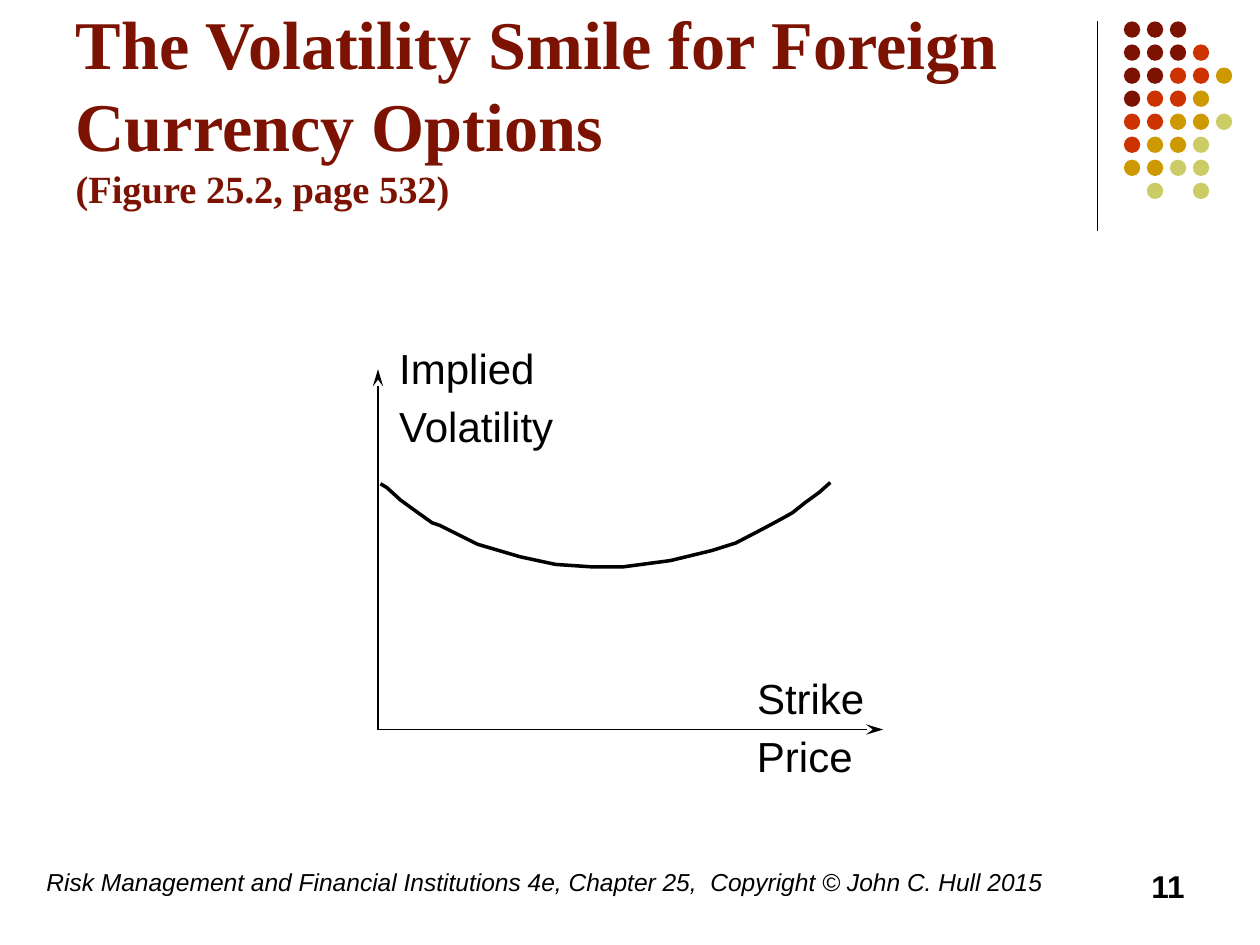
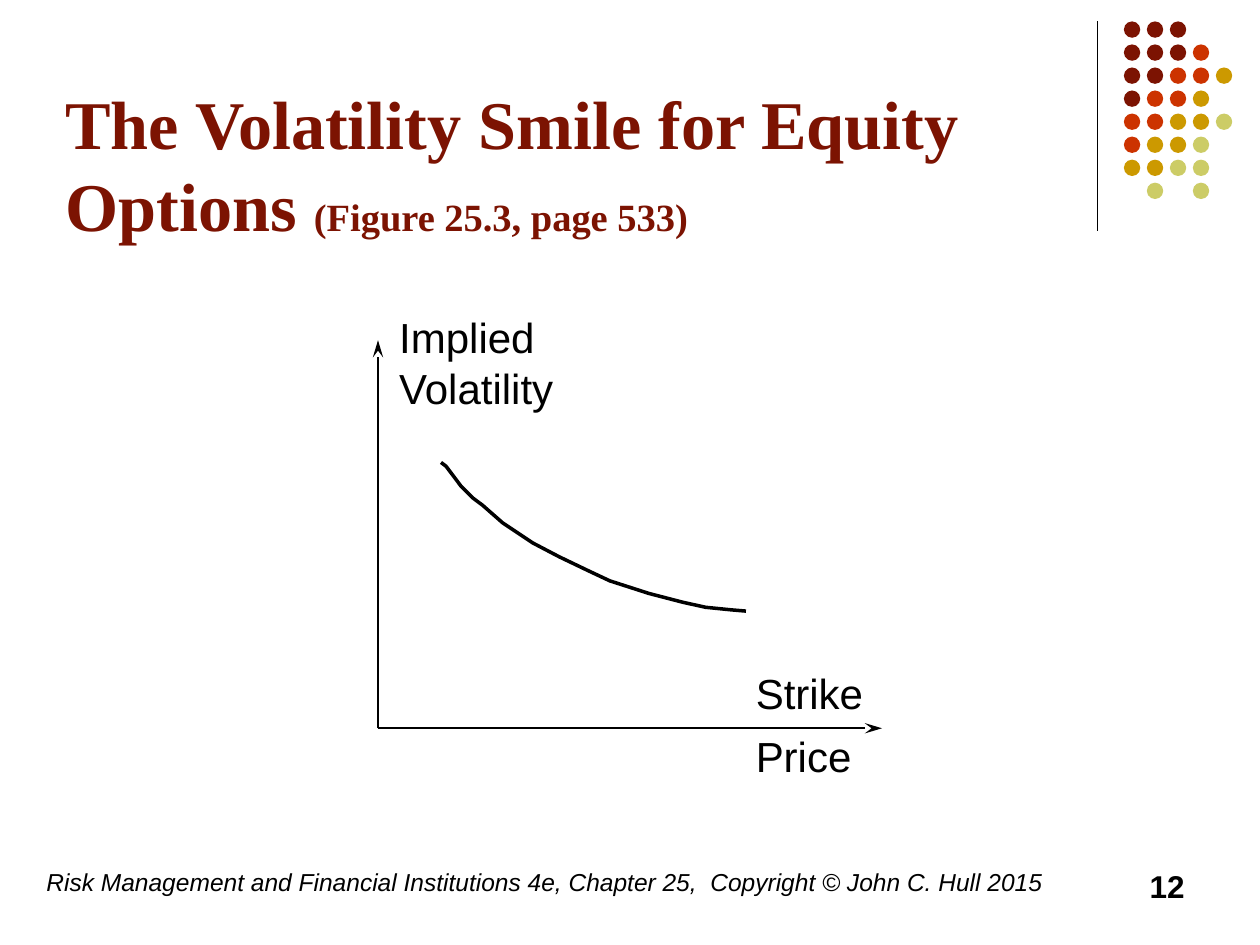
from collections import namedtuple
from dataclasses import dataclass

from lxml.etree import SubElement
from pptx import Presentation
from pptx.dml.color import RGBColor
from pptx.enum.shapes import MSO_CONNECTOR as Connector, MSO_SHAPE as Preset
from pptx.enum.text import MSO_ANCHOR as Anchor, MSO_AUTO_SIZE as AutoSize, PP_ALIGN as Align
from pptx.oxml.ns import qn
from pptx.util import Inches, Pt

Box = namedtuple("Box", "left top width height")
Label = namedtuple("Label", "text left top width")
Figure = namedtuple("Figure", "title reference title_box plot_box labels curve number")


@dataclass(frozen=True)
class Theme:
    """Colours, fonts, type sizes and line widths shared by the deck."""

    ink: str = "000000"
    maroon: str = "7C1302"
    red: str = "CC3300"
    gold: str = "CC9900"
    lime: str = "CCCC66"
    title_font: str = "Times New Roman"
    body_font: str = "Arial"
    title_size: float = 39
    reference_size: float = 22
    label_size: float = 24
    footer_size: float = 14
    number_size: float = 18
    title_spacing: float = 1.0
    rule_width: float = 0.75
    axis_width: float = 1
    curve_width: float = 2


THEME = Theme()
FOOTER = "Risk Management and Financial Institutions 4e, Chapter 25,  Copyright © John C. Hull 2015"
DOT_COLOURS = {"m": THEME.maroon, "r": THEME.red, "g": THEME.gold, "l": THEME.lime}
DOT_ROWS = ("mmm", "mmmr", "mmrrg", "mrrg", "rrggl", "rggl", "ggll", " l l")
DOT_SIZE = 0.13
DOT_BOX = Box(8.92, 0.17, 0.86, 1.41)
RULE_BOX = Box(8.71, 0.17, 0, 1.66)
FOOTER_BOX = Box(0.27, 6.83, 8.27, 0.5)
NUMBER_BOX = Box(7.17, 6.83, 2.33, 0.5)

FIGURES = (
    Figure(
        "The Volatility Smile for Foreign Currency Options \v",
        "(Figure 25.2, page 532)",
        Box(0.5, 0.13, 8.25, 1.42),
        Box(3, 2.93, 4.01, 2.86),
        (
            Label("Implied", 0.07, -0.26, 1.28),
            Label("Volatility", 0.07, 0.2, 1.44),
            Label("Strike", 2.91, 2.36, 1.05),
            Label("Price", 2.91, 2.82, 0.96),
        ),
        (
            (0.02, 1.95), (0.07, 1.92), (0.18, 1.82), (0.29, 1.74), (0.43, 1.64),
            (0.49, 1.62), (0.55, 1.59), (0.79, 1.47), (1.13, 1.37), (1.41, 1.31),
            (1.71, 1.29), (1.94, 1.29), (2.32, 1.34), (2.65, 1.42), (2.84, 1.48),
            (3.07, 1.6), (3.2, 1.67), (3.29, 1.72), (3.39, 1.8), (3.5, 1.88), (3.59, 1.96),
        ),
        11,
    ),
    Figure(
        "The Volatility Smile for Equity Options ",
        "(Figure 25.3, page 533)",
        Box(0.42, 0.67, 9.17, 1.25),
        Box(3, 2.7, 4, 3.08),
        (
            Label("Implied", 0.07, -0.28, 1.28),
            Label("Volatility", 0.07, 0.13, 1.44),
            Label("Strike", 2.9, 2.55, 1.05),
            Label("Price", 2.9, 3.05, 0.96),
        ),
        (
            (0.5, 2.11), (0.54, 2.08), (0.6, 2), (0.66, 1.92), (0.75, 1.83), (0.79, 1.8),
            (0.83, 1.77), (0.99, 1.63), (1.23, 1.47), (1.44, 1.36), (1.67, 1.25),
            (1.84, 1.17), (2.15, 1.07), (2.42, 1), (2.6, 0.96), (2.8, 0.94), (2.92, 0.93),
        ),
        12,
    ),
)


def emu(box):
    """Turn a box or point in inches into lengths."""
    return [Inches(value) for value in box]


def apply(target, formats):
    """Set every attribute in a dict of format values."""
    for name, value in formats.items():
        setattr(target, name, value)


def add_span(para, text, size, font=THEME.body_font, colour=THEME.ink, **formats):
    """Append formatted text to a paragraph, breaking the line at a vertical tab."""
    pieces = text.split("\v")
    for position, piece in enumerate(pieces):
        if position:
            para.add_line_break()
        if piece:
            span = para.add_run()
            span.text = piece
            apply(span.font, {"name": font, "size": Pt(size), **formats})
            span.font.color.rgb = RGBColor.from_string(colour)


def add_text(page, box, text, size, wrap=True, align=Align.LEFT, **formats):
    """Add a one-paragraph text box."""
    frame = page.shapes.add_textbox(*emu(box)).text_frame
    frame.word_wrap = wrap
    frame.auto_size = AutoSize.NONE if wrap else AutoSize.SHAPE_TO_FIT_TEXT
    para = frame.paragraphs[0]
    para.alignment = align
    add_span(para, text, size, **formats)


def add_line(page, start, end, width, arrow=False):
    """Draw a straight line, with a long stealth arrowhead at its end if asked."""
    line = page.shapes.add_connector(Connector.STRAIGHT, *emu((*start, *end)))
    line.line.width = Pt(width)
    line.line.color.rgb = RGBColor.from_string(THEME.ink)
    if arrow:
        SubElement(line.line._get_or_add_ln(), qn("a:tailEnd"), type="stealth", len="lg")
    SubElement(line._element.spPr, qn("a:effectLst"))


def add_dots(page, box):
    """Fill a box with the coloured dot pattern."""
    across = (box.width - DOT_SIZE) / (max(map(len, DOT_ROWS)) - 1)
    down = (box.height - DOT_SIZE) / (len(DOT_ROWS) - 1)
    for row, pattern in enumerate(DOT_ROWS):
        for column, key in enumerate(pattern):
            if key == " ":
                continue
            place = Box(box.left + column * across, box.top + row * down, DOT_SIZE, DOT_SIZE)
            dot = page.shapes.add_shape(Preset.OVAL, *emu(place))
            dot.shadow.inherit = False
            dot.fill.solid()
            dot.fill.fore_color.rgb = RGBColor.from_string(DOT_COLOURS[key])
            dot.line.fill.background()


def add_frame(page, number):
    """Add the corner ornament, footer and page number."""
    rule = RULE_BOX
    add_line(page, (rule.left, rule.top), (rule.left, rule.top + rule.height), THEME.rule_width)
    add_dots(page, DOT_BOX)
    add_text(page, FOOTER_BOX, FOOTER, THEME.footer_size, italic=True)
    add_text(page, NUMBER_BOX, str(number), THEME.number_size, align=Align.RIGHT, bold=True)


def set_title(page, box, title, reference):
    """Place the title and its smaller figure reference."""
    holder = page.shapes.title
    apply(holder, dict(zip(Box._fields, emu(box))))
    frame = holder.text_frame
    apply(frame, {"word_wrap": True, "auto_size": AutoSize.NONE, "vertical_anchor": Anchor.MIDDLE})
    para = frame.paragraphs[0]
    apply(para, {"alignment": Align.LEFT, "line_spacing": THEME.title_spacing})
    look = {"font": THEME.title_font, "colour": THEME.maroon, "bold": True}
    add_span(para, title, THEME.title_size, **look)
    add_span(para, reference, THEME.reference_size, **look)


def add_curve(page, origin, points):
    """Draw an open curve through points measured right and up from the origin."""
    left, base = origin
    start, *rest = [emu((left + x, base - y)) for x, y in points]
    builder = page.shapes.build_freeform(*start)
    builder.add_line_segments(rest, close=False)
    curve = builder.convert_to_shape()
    curve.shadow.inherit = False
    curve.fill.background()
    curve.line.width = Pt(THEME.curve_width)
    curve.line.color.rgb = RGBColor.from_string(THEME.ink)


def add_plot(page, box, labels, points):
    """Draw the axes, their labels and the volatility curve."""
    origin = (box.left, box.top + box.height)
    for end in ((box.left, box.top), (box.left + box.width, origin[1])):
        add_line(page, origin, end, THEME.axis_width, arrow=True)
    for label in labels:
        place = Box(box.left + label.left, box.top + label.top, label.width, 0.5)
        add_text(page, place, label.text, THEME.label_size, wrap=False)
    add_curve(page, origin, points)


def add_figure_page(deck, figure):
    """Build one title-and-plot page."""
    page = deck.slides.add_slide(deck.slide_layouts.get_by_name("Title Only"))
    add_frame(page, figure.number)
    set_title(page, figure.title_box, figure.title, figure.reference)
    add_plot(page, figure.plot_box, figure.labels, figure.curve)


def main():
    """Build and save the deck."""
    deck = Presentation()
    apply(deck, {"slide_width": Inches(10), "slide_height": Inches(7.5)})
    for figure in FIGURES:
        add_figure_page(deck, figure)
    deck.save("out.pptx")


if __name__ == "__main__":
    main()
